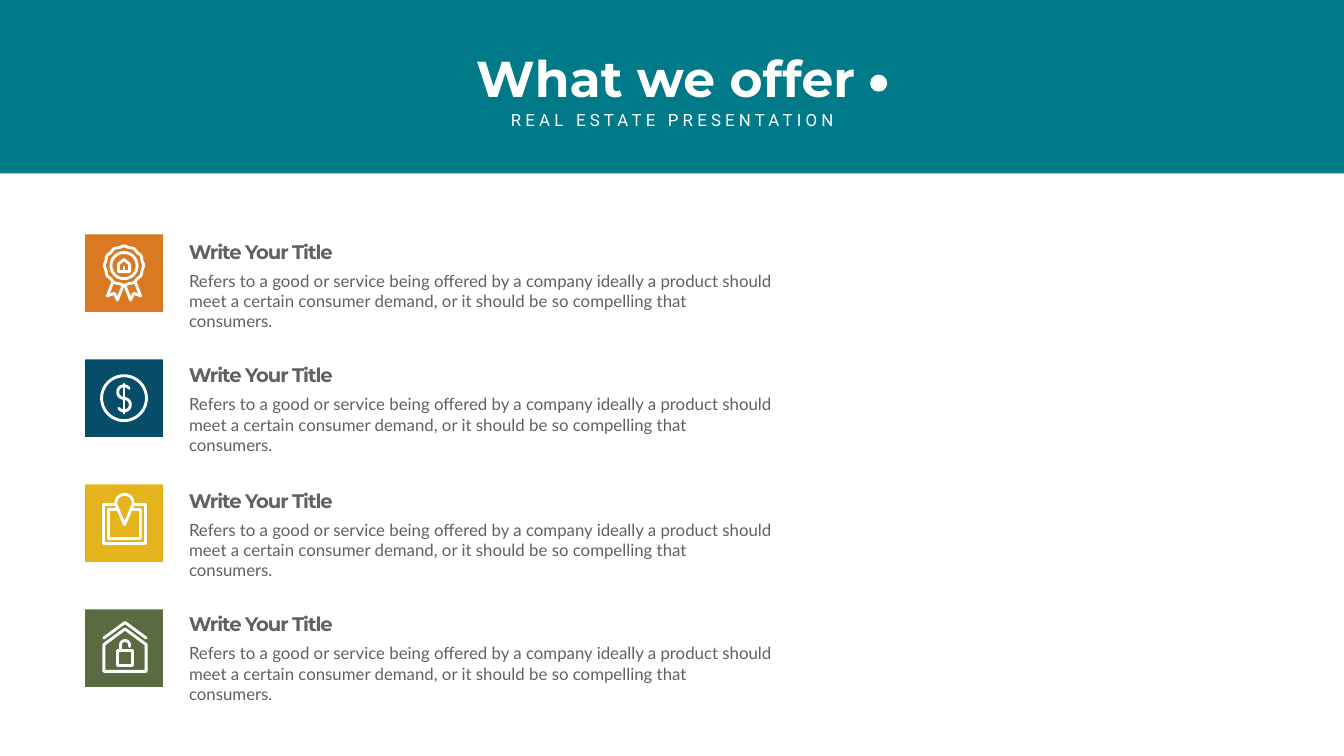
from dataclasses import dataclass
from math import cos, radians, sin

from lxml import etree
from pptx import Presentation
from pptx.dml.color import RGBColor
from pptx.enum.shapes import MSO_CONNECTOR, MSO_SHAPE
from pptx.enum.text import MSO_ANCHOR, MSO_AUTO_SIZE, PP_ALIGN
from pptx.oxml.ns import qn
from pptx.util import Inches, Pt

RECTANGLE, OVAL = MSO_SHAPE.RECTANGLE, MSO_SHAPE.OVAL
STRAIGHT = MSO_CONNECTOR.STRAIGHT
TOP = MSO_ANCHOR.TOP
GROW = MSO_AUTO_SIZE.SHAPE_TO_FIT_TEXT
LEFT, CENTER = PP_ALIGN.LEFT, PP_ALIGN.CENTER

WHITE = RGBColor(0xFF, 0xFF, 0xFF)
TEAL = RGBColor(0x00, 0x7A, 0x89)
ORANGE = RGBColor(0xDA, 0x79, 0x21)
NAVY = RGBColor(0x05, 0x4D, 0x68)
YELLOW = RGBColor(0xE5, 0xB3, 0x1E)
GREEN = RGBColor(0x5A, 0x6B, 0x41)
GREY = RGBColor(0x60, 0x61, 0x60)

TITLE_FONT = {"name": "Montserrat", "size": Pt(72), "bold": True}
SUBTITLE_FONT = {"name": "Roboto", "size": Pt(24)}
HEADING_FONT = {"name": "Montserrat", "size": Pt(28), "bold": True}
BODY_FONT = {"name": "Lato", "size": Pt(24)}

HEADING = "Write Your Title"
DESCRIPTION = (
    "Refers to a good or service being offered by a company ideally a product should "
    "meet a certain consumer demand, or it should be so compelling that consumers."
)
TILE_LEFT, TILE_TOP, TILE_SIZE, TILE_PITCH = 1.69, 4.65, 1.54, 2.48
STROKE_WIDTH = Pt(4.1)

Point = tuple[float, float]


@dataclass(frozen=True)
class Stroke:
    points: list[Point]
    closed: bool = False


@dataclass(frozen=True)
class Ring:
    center: Point
    radius: float


@dataclass(frozen=True)
class Offer:
    color: RGBColor
    heading_top: float
    icon: list[Stroke | Ring]


def arc(center: Point, radius: float, start: int, end: int, ripple: float = 0) -> list[Point]:
    """Points along an arc in degrees, clockwise from the right; ripple adds 12 bumps per turn."""
    step = 5 if end > start else -5
    points = []
    for degrees in range(start, end + step, step):
        angle = radians(degrees)
        reach = radius + ripple * cos(12 * angle)
        points.append((center[0] + reach * cos(angle), center[1] + reach * sin(angle)))
    return points


# Icon points are inches from the top left corner of the tile.
RIBBON = [(0.55, 0.94), (0.44, 1.22), (0.58, 1.17), (0.64, 1.3), (0.75, 1.02)]
MEDAL = [
    Stroke(arc((0.77, 0.62), 0.38, 0, 355, 0.01), closed=True),
    Stroke(RIBBON),
    Stroke([(TILE_SIZE - x, y) for x, y in RIBBON]),
    Ring((0.77, 0.62), 0.26),
    Stroke([(0.66, 0.74), (0.66, 0.59), (0.77, 0.5), (0.88, 0.59), (0.88, 0.74)], closed=True),
    Stroke([(0.77, 0.65), (0.77, 0.74)]),
]
COIN = [
    Ring((0.77, 0.77), 0.445),
    Stroke(arc((0.77, 0.65), 0.125, -35, -270) + arc((0.77, 0.9), 0.125, -90, 145)),
    Stroke([(0.77, 0.49), (0.77, 1.07)]),
]
MAP_PIN = [
    Stroke([(0.59, 0.4), (0.37, 0.4), (0.37, 1.18), (1.2, 1.18), (1.2, 0.4), (0.98, 0.4)]),
    Stroke([(0.61, 0.5), (0.47, 0.5), (0.47, 1.07), (1.09, 1.07), (1.09, 0.5), (0.95, 0.5)]),
    Stroke(arc((0.78, 0.37), 0.17, 165, 375) + [(0.78, 0.8)], closed=True),
]
LOCKED_HOUSE = [
    Stroke([(0.37, 1.23), (0.37, 0.7), (0.79, 0.39), (1.21, 0.7), (1.21, 1.23)], closed=True),
    Stroke([(0.37, 0.57), (0.79, 0.26), (1.21, 0.57)]),
    Stroke([(0.64, 0.82), (0.93, 0.82), (0.93, 1.11), (0.64, 1.11)], closed=True),
    Stroke([(0.7, 0.82)] + arc((0.79, 0.71), 0.09, 180, 360) + [(0.88, 0.74)]),
]
OFFERS = [
    Offer(ORANGE, 4.71, MEDAL),
    Offer(NAVY, 7.16, COIN),
    Offer(YELLOW, 9.65, MAP_PIN),
    Offer(GREEN, 12.1, LOCKED_HOUSE),
]


def add_solid(page, kind, left: float, top: float, width: float, height: float, color: RGBColor):
    shape = page.shapes.add_shape(kind, *map(Inches, (left, top, width, height)))
    shape.shadow.inherit = False
    shape.fill.solid()
    shape.fill.fore_color.rgb = color
    shape.line.fill.background()


def add_text(page, text: str, left: float, top: float, width: float, height: float,
             font: dict, color: RGBColor, align=LEFT, spacing: float = 0, inset: Point = (0.1, 0.05)):
    box = page.shapes.add_textbox(*map(Inches, (left, top, width, height)))
    fill_text(box, text, font, color, align, spacing, inset)


def fill_text(box, text: str, font: dict, color: RGBColor, align, spacing: float = 0,
              inset: Point = (0.1, 0.05)):
    """Format the box; spacing is the points added between letters."""
    frame = box.text_frame
    side, edge = map(Inches, inset)
    layout = {"word_wrap": True, "auto_size": GROW, "vertical_anchor": TOP, "margin_left": side,
              "margin_right": side, "margin_top": edge, "margin_bottom": edge}
    for name, value in layout.items():
        setattr(frame, name, value)
    para = frame.paragraphs[0]
    para.alignment = align
    span = para.add_run()
    span.text = text
    for name, value in font.items():
        setattr(span.font, name, value)
    span.font.color.rgb = color
    if spacing:
        span.font._element.set("spc", str(round(spacing * 100)))


def draw_mark(group, mark: Stroke | Ring, left: float, top: float):
    """Draw one white icon line, with round ends, on the tile at left, top."""
    if isinstance(mark, Ring):
        x, y = mark.center
        size = Inches(2 * mark.radius)
        shape = group.shapes.add_shape(
            OVAL, Inches(left + x - mark.radius), Inches(top + y - mark.radius), size, size)
    else:
        points = [(Inches(left + x), Inches(top + y)) for x, y in mark.points]
        if len(points) == 2:
            shape = group.shapes.add_connector(STRAIGHT, *points[0], *points[1])
        else:
            builder = group.shapes.build_freeform(*points[0])
            builder.add_line_segments(points[1:], close=mark.closed)
            shape = builder.convert_to_shape()
    shape.line.color.rgb = WHITE
    shape.line.width = STROKE_WIDTH
    outline = shape.line._get_or_add_ln()
    outline.set("cap", "rnd")
    etree.SubElement(outline, qn("a:round"))
    if hasattr(shape, "fill"):
        shape.fill.background()
        shape.shadow.inherit = False
    else:
        etree.SubElement(shape._element.spPr, qn("a:effectLst"))


def draw_offer(page, offer: Offer, tile_top: float):
    add_solid(page, RECTANGLE, TILE_LEFT, tile_top, TILE_SIZE, TILE_SIZE, offer.color)
    icon = page.shapes.add_group_shape()
    for mark in offer.icon:
        draw_mark(icon, mark, TILE_LEFT, tile_top)
    add_text(page, HEADING, 3.65, offer.heading_top, 3.18, 0.57, HEADING_FONT, GREY, spacing=-1.5)
    add_text(page, DESCRIPTION, 3.51, offer.heading_top + 0.54, 12.03, 1.05, BODY_FONT, GREY,
             inset=(0.24, 0.12))


def main():
    deck = Presentation()
    deck.slide_width, deck.slide_height = Inches(26.66), Inches(15)
    page = deck.slides.add_slide(deck.slide_layouts[5])
    page.background.fill.solid()
    page.background.fill.fore_color.rgb = WHITE

    add_solid(page, RECTANGLE, 0, 0, 26.66, 3.44, TEAL)
    title = page.shapes.title
    title.left, title.top, title.width, title.height = map(Inches, (9.31, 0.88, 7.79, 1.31))
    fill_text(title, "What we offer", TITLE_FONT, WHITE, CENTER)
    page.shapes._spTree.append(title._element)  # in front of the banner
    add_text(page, "REAL ESTATE PRESENTATION", 9.83, 2.13, 7.01, 0.5, SUBTITLE_FONT, WHITE,
             CENTER, spacing=6)
    add_solid(page, OVAL, 17.26, 1.48, 0.34, 0.34, WHITE)

    for row, offer in enumerate(OFFERS):
        draw_offer(page, offer, TILE_TOP + row * TILE_PITCH)
    deck.save("out.pptx")


if __name__ == "__main__":
    main()
